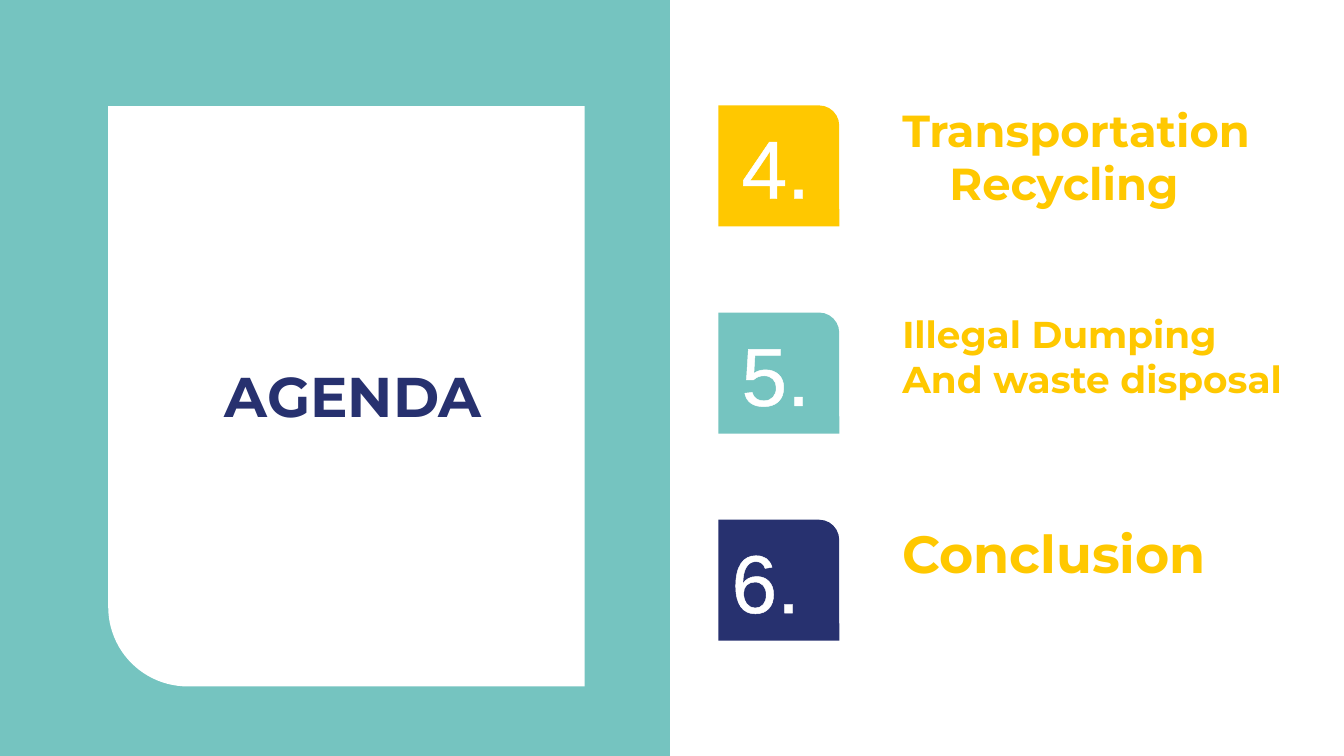
from lxml import etree
from pptx import Presentation
from pptx import util as u
from pptx.dml.color import RGBColor
from pptx.enum import shapes, text
from pptx.oxml.ns import qn

hues = {"teal": "75C4C0", "gold": "FFC800", "navy": "27316F", "white": "FFFFFF"}

deck = Presentation()
deck.slide_width = u.Inches(10)
deck.slide_height = deck.slide_width * 9 // 16
slide = deck.slides.add_slide(deck.slide_layouts[6])


def block(kind, area, hue=None):
    """Add a filled shape, or a text box if kind is None; area is in percent of the slide."""
    sides = (deck.slide_width, deck.slide_height) * 2
    spot = [int(side * share / 100) for side, share in zip(sides, area)]
    if kind is None:
        item = slide.shapes.add_textbox(*spot)
    else:
        item = slide.shapes.add_shape(kind, *spot)
        item.shadow.inherit = False
        item.fill.solid()
        item.fill.fore_color.rgb = RGBColor.from_string(hues[hue])
        item.line.fill.background()
    frame = item.text_frame
    frame.word_wrap = True
    frame.margin_left = frame.margin_right = u.Inches(0.1)
    frame.margin_top = frame.margin_bottom = u.Inches(0.1)
    return item


def write(para, words, size, hue, face="Montserrat", bold=True):
    run = para.add_run()
    run.text = words
    run.font.name, run.font.size, run.font.bold = face, u.Pt(size), bold
    run.font.color.rgb = RGBColor.from_string(hues[hue])
    return run


# Left half: teal panel, white card and title
kinds = shapes.MSO_SHAPE
block(kinds.RECTANGLE, (0, 0, 49.85, 100), "teal")
card = block(kinds.ROUND_1_RECTANGLE, (8.05, 14.05, 35.45, 76.75), "white")
card.rotation = 180

title = block(None, (9.1, 13.95, 34.4, 76.75)).text_frame
title.vertical_anchor = text.MSO_ANCHOR.MIDDLE
title.paragraphs[0].alignment = text.PP_ALIGN.CENTER
write(title.paragraphs[0], "AGENDA", 30, "navy")

# Right half: one numbered tile and caption per row
left, mid = text.PP_ALIGN.LEFT, text.PP_ALIGN.CENTER
rows = [
    ("4.", "gold", mid, 24, 31.1, ["Transportation Recycling"]),
    ("5.", "teal", mid, 20, 35.35, ["Illegal Dumping", "And waste disposal"]),
    ("6.", "navy", left, 28, 26.8, ["Conclusion"]),
]
for i, (mark, hue, align, size, wide, lines) in enumerate(rows):
    frame = block(None, (64.65, 11.75 + 27.7 * i, wide, 18)).text_frame
    for n, line in enumerate(lines):
        para = frame.add_paragraph() if n else frame.paragraphs[0]
        props = para._p.get_or_add_pPr()
        props.set("marL", str(u.Inches(0.5)))
        props.set("indent", str(u.Inches(-0.35)))
        write(para, line, size, "gold")

    tile = block(kinds.ROUND_1_RECTANGLE, (53.45, 13.95 + 27.4 * i, 9, 16), hue).text_frame
    tile.vertical_anchor = text.MSO_ANCHOR.MIDDLE
    tile.paragraphs[0].alignment = align
    run = write(tile.paragraphs[0], mark, 44, "white", "Arial", False)
    edge = etree.Element(qn("a:ln"), w=str(u.Pt(1.45)))
    fill = etree.SubElement(edge, qn("a:solidFill"))
    etree.SubElement(fill, qn("a:srgbClr"), val=hues["white"])
    run.font._element.insert(0, edge)

deck.save("out.pptx")
